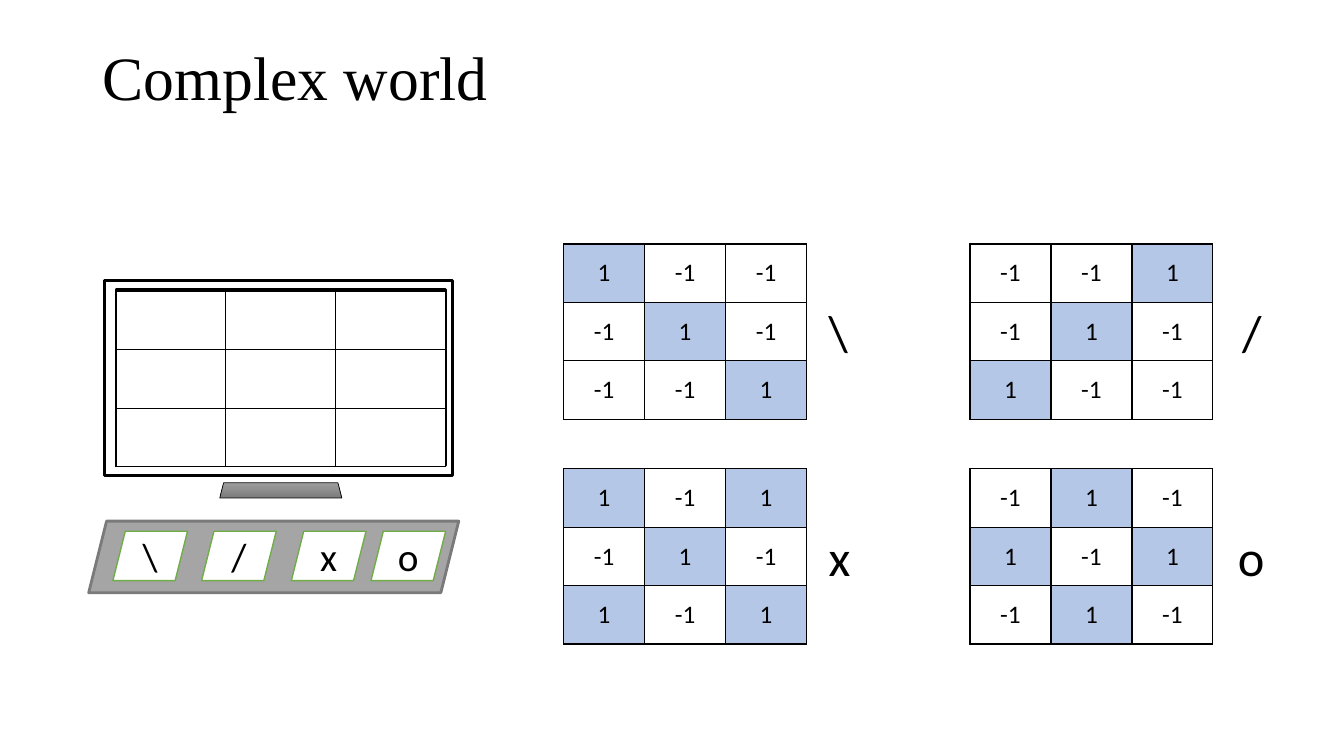
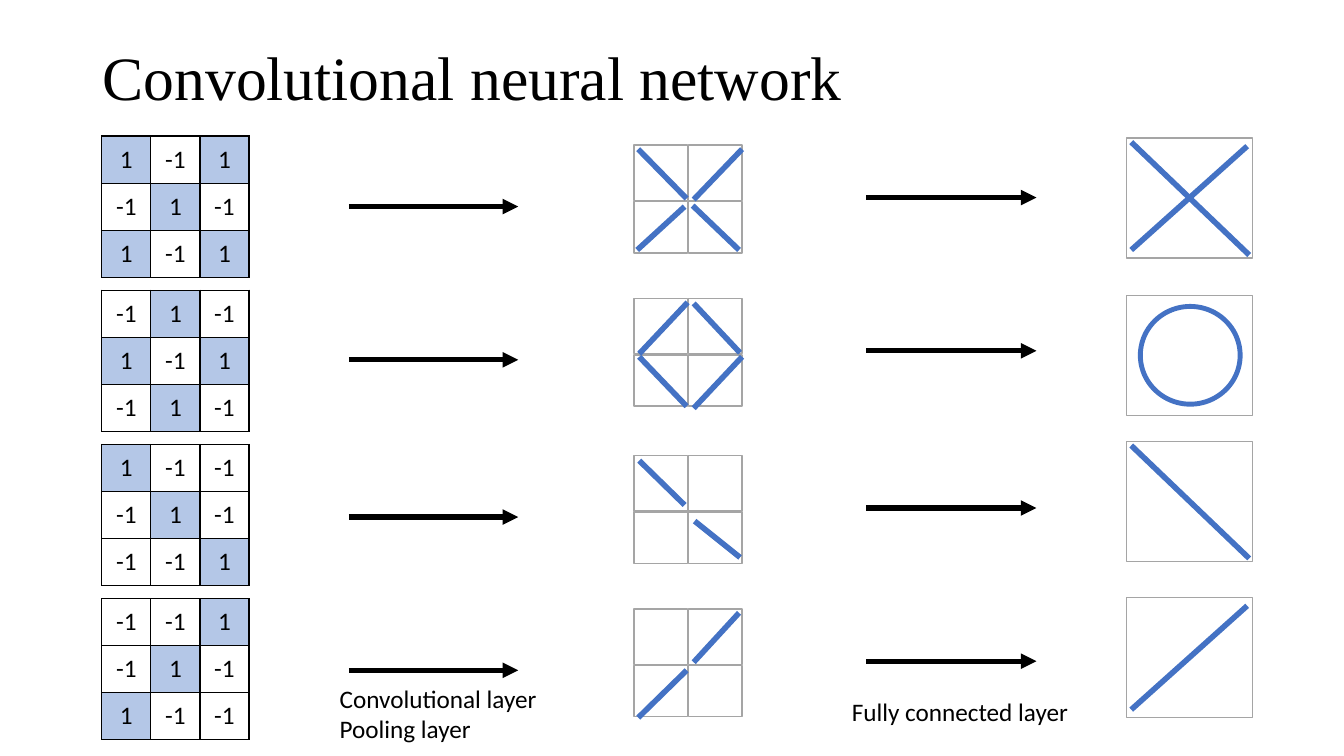
from dataclasses import dataclass
from typing import Optional

from pptx import Presentation
from pptx.dml.color import RGBColor
from pptx.enum import shapes, text
from pptx.oxml import parse_xml
from pptx.oxml.ns import nsdecls
from pptx.util import Inches, Pt

BLACK = RGBColor(0x00, 0x00, 0x00)
WHITE = RGBColor(0xFF, 0xFF, 0xFF)
BLUE = RGBColor(0x44, 0x72, 0xC4)
PALE_BLUE = RGBColor(0xB4, 0xC7, 0xE7)
GREEN = RGBColor(0x70, 0xAD, 0x47)
GRAY = RGBColor(0xA5, 0xA5, 0xA5)
DARK_GRAY = RGBColor(0x7A, 0x7A, 0x7A)
STAND_TOP = RGBColor(0x9D, 0x9D, 0x9D)
STAND_BOTTOM = RGBColor(0x7C, 0x7C, 0x7C)
BODY_FONT, TITLE_FONT = "Calibri", "Times New Roman"
MSO = shapes.MSO_SHAPE

# Each symbol as three rows of pixels: # is 1, . is -1
PATTERNS = {
    "\\": ("#..", ".#.", "..#"),
    "/": ("..#", ".#.", "#.."),
    "x": ("#.#", ".#.", "#.#"),
    "o": (".#.", "#.#", ".#."),
}


@dataclass(frozen=True)
class Box:
    x: float
    y: float
    w: float
    h: float

    def emu(self) -> tuple:
        return tuple(Inches(v) for v in (self.x, self.y, self.w, self.h))


@dataclass(frozen=True)
class Stroke:
    x1: float
    y1: float
    x2: float
    y2: float


@dataclass(frozen=True)
class Stage:
    """One symbol on its way through the network."""
    symbol: str
    arrow_y: float
    result_y: float
    features: tuple  # relative to the 2 x 2 feature map
    result: tuple  # relative to the result frame; empty for a circle


FALLING = Stroke(0.05, 0.04, 1.22, 1.16)
RISING = Stroke(1.2, 0.08, 0.05, 1.11)
STAGES = (
    Stage("x", 2.05, 1.37,
          (Stroke(0.52, 0.53, 0.04, 0.04), Stroke(0.59, 0.54, 1.07, 0.04),
           Stroke(0.5, 0.61, 0.03, 1.04), Stroke(1.04, 1.04, 0.58, 0.6)),
          (FALLING, RISING)),
    Stage("o", 3.57, 2.93,
          (Stroke(0.05, 0.55, 0.53, 0.04), Stroke(0.59, 1.09, 1.07, 0.58),
           Stroke(0.59, 0.05, 1.05, 0.54), Stroke(0.05, 0.58, 0.52, 1.07)),
          ()),
    Stage("\\", 5.13, 4.38,
          (Stroke(0.05, 0.05, 0.5, 0.49), Stroke(0.6, 0.65, 1.05, 1.01)),
          (FALLING,)),
    Stage("/", 6.65, 5.93,
          (Stroke(1.04, 0.04, 0.59, 0.53), Stroke(0.52, 0.61, 0.04, 1.08)),
          (RISING,)),
)


# Shared drawing helpers
def style_text(tf, size: float, font: str = BODY_FONT, align=None) -> None:
    for p in tf.paragraphs:
        p.alignment = align
        for r in p.runs:
            r.font.size = Pt(size)
            r.font.name = font
            r.font.color.rgb = BLACK


def add_box(slide, kind, box: Box, fill: RGBColor, line: RGBColor,
            width: float, label: str = ""):
    sp = slide.shapes.add_shape(kind, *box.emu())
    sp.shadow.inherit = False
    sp.fill.solid()
    sp.fill.fore_color.rgb = fill
    sp.line.color.rgb = line
    sp.line.width = Pt(width)
    if label:
        tf = sp.text_frame
        tf.text = label
        tf.vertical_anchor = text.MSO_ANCHOR.MIDDLE
        style_text(tf, 28, align=text.PP_ALIGN.CENTER)
    return sp


def add_line(slide, stroke: Stroke, color: RGBColor, width: float,
             arrow: bool = False) -> None:
    ends = (stroke.x1, stroke.y1, stroke.x2, stroke.y2)
    cxn = slide.shapes.add_connector(
        shapes.MSO_CONNECTOR.STRAIGHT, *(Inches(v) for v in ends))
    cxn.line.color.rgb = color
    cxn.line.width = Pt(width)
    if arrow:
        cxn.line._get_or_add_ln().append(
            parse_xml(f'<a:tailEnd {nsdecls("a")} type="triangle"/>'))
    cxn._element.spPr.append(parse_xml(f'<a:effectLst {nsdecls("a")}/>'))


def add_strokes(slide, strokes: tuple, x: float, y: float) -> None:
    for s in strokes:
        moved = Stroke(x + s.x1, y + s.y1, x + s.x2, y + s.y2)
        add_line(slide, moved, BLUE, 4)


def add_label(slide, box: Box, words: str, size: float) -> None:
    tf = slide.shapes.add_textbox(*box.emu()).text_frame
    tf.text = words
    tf.word_wrap = False
    tf.auto_size = text.MSO_AUTO_SIZE.SHAPE_TO_FIT_TEXT
    style_text(tf, size)


def add_title(slide, words: str) -> None:
    tf = slide.shapes.add_textbox(*Box(0.92, 0.07, 11.5, 1.45).emu()).text_frame
    tf.text = words
    tf.word_wrap = True
    tf.vertical_anchor = text.MSO_ANCHOR.MIDDLE
    tf.paragraphs[0].line_spacing = 0.9
    style_text(tf, 44, TITLE_FONT)


def add_borders(cell) -> None:
    tc_pr = cell._tc.get_or_add_tcPr()
    for side in "LRTB":
        tc_pr.append(parse_xml(
            f'<a:ln{side} {nsdecls("a")} w="12700"><a:solidFill>'
            f'<a:srgbClr val="{BLACK}"/></a:solidFill></a:ln{side}>'))


def add_grid(slide, box: Box, symbol: Optional[str] = None) -> None:
    """A 3 x 3 table, holding the pixels of a symbol or nothing."""
    table = slide.shapes.add_table(3, 3, *box.emu()).table
    table.first_row = table.horz_banding = False
    for i in range(3):
        table.columns[i].width = Inches(box.w / 3)
        table.rows[i].height = Inches(box.h / 3)
    for i in range(9):
        row, col = divmod(i, 3)
        cell = table.cell(row, col)
        lit = symbol is not None and PATTERNS[symbol][row][col] == "#"
        add_borders(cell)
        cell.fill.solid()
        cell.fill.fore_color.rgb = PALE_BLUE if lit else WHITE
        cell.vertical_anchor = text.MSO_ANCHOR.MIDDLE
        cell.margin_left = cell.margin_right = Inches(0.06)
        cell.margin_top = cell.margin_bottom = Inches(0.03)
        if symbol is not None:
            cell.text_frame.text = "1" if lit else "-1"
            style_text(cell.text_frame, 18, align=text.PP_ALIGN.CENTER)


# Slide 1
def add_computer(slide) -> None:
    add_box(slide, MSO.RECTANGLE, Box(1.04, 2.78, 3.45, 1.94), WHITE, BLACK, 2)
    add_box(slide, MSO.RECTANGLE, Box(1.15, 2.87, 3.27, 1.75), WHITE, BLACK, 2)
    add_grid(slide, Box(1.15, 2.89, 3.27, 1.74))

    stand = add_box(slide, MSO.TRAPEZOID, Box(2.18, 4.79, 1.21, 0.15),
                    GRAY, BLACK, 0.5)
    stand.fill.gradient()
    stand.fill.gradient_angle = 270
    for stop, color in zip(stand.fill.gradient_stops, (STAND_TOP, STAND_BOTTOM)):
        stop.color.rgb = color

    add_box(slide, MSO.PARALLELOGRAM, Box(0.88, 5.17, 3.67, 0.71),
            GRAY, DARK_GRAY, 2)
    for symbol, x in zip(PATTERNS, (1.12, 2, 2.89, 3.68)):
        add_box(slide, MSO.PARALLELOGRAM, Box(x, 5.27, 0.74, 0.49),
                WHITE, GREEN, 1, symbol)


def build_world(slide) -> None:
    add_title(slide, "Complex world")
    add_computer(slide)
    label_xs = (8.12, 12.22, 8.12, 12.18)
    for i, (symbol, label_x) in enumerate(zip(PATTERNS, label_xs)):
        row, col = divmod(i, 2)
        y = 2.42 + 2.23 * row
        add_grid(slide, Box(5.59 + 4.03 * col, y, 2.41, 1.74), symbol)
        add_label(slide, Box(label_x, y + 0.52, 0.42, 0.71), symbol, 36)


# Slide 2
def add_feature_map(slide, x: float, y: float, strokes: tuple) -> None:
    for dy, h in ((0, 0.55), (0.56, 0.51)):
        for dx in (0, 0.54):
            add_box(slide, MSO.RECTANGLE, Box(x + dx, y + dy, 0.53, h),
                    WHITE, GRAY, 1)
    add_strokes(slide, strokes, x, y)


def add_result(slide, x: float, y: float, strokes: tuple) -> None:
    add_box(slide, MSO.RECTANGLE, Box(x, y, 1.25, 1.19), WHITE, GRAY, 1)
    if strokes:
        add_strokes(slide, strokes, x, y)
    else:
        add_box(slide, MSO.FLOWCHART_CONNECTOR,
                Box(x + 0.14, y + 0.11, 0.99, 0.97), WHITE, BLUE, 3.5)


def build_network(slide) -> None:
    add_title(slide, "Convolutional neural network")
    for i, stage in enumerate(STAGES):
        y = stage.arrow_y
        add_grid(slide, Box(1.01, 1.35 + 1.53 * i, 1.46, 1.4), stage.symbol)
        add_line(slide, Stroke(3.46, y, 5.14, y), BLACK, 3.75, arrow=True)
        add_feature_map(slide, 6.29, y - 0.61, stage.features)
        add_line(slide, Stroke(8.59, y - 0.09, 10.28, y - 0.09), BLACK, 3.75,
                 arrow=True)
        add_result(slide, 11.17, stage.result_y, stage.result)
    add_label(slide, Box(3.27, 6.73, 2.18, 0.71),
              "Convolutional layer\nPooling layer", 18)
    add_label(slide, Box(8.35, 6.86, 2.37, 0.4), "Fully connected layer", 18)


def main() -> None:
    prs = Presentation()
    prs.slide_width, prs.slide_height = Inches(13.33), Inches(7.5)
    for build in (build_world, build_network):
        build(prs.slides.add_slide(prs.slide_layouts[6]))
    prs.save("out.pptx")


if __name__ == "__main__":
    main()
